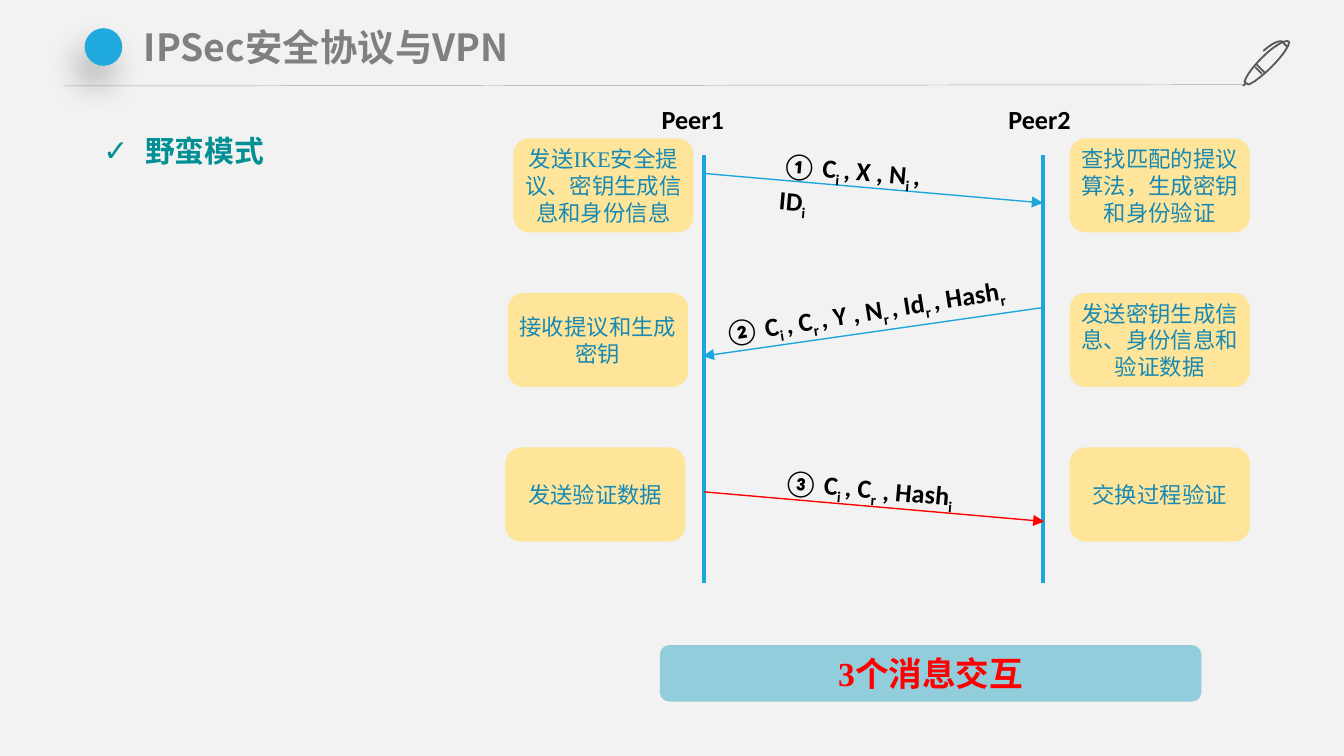
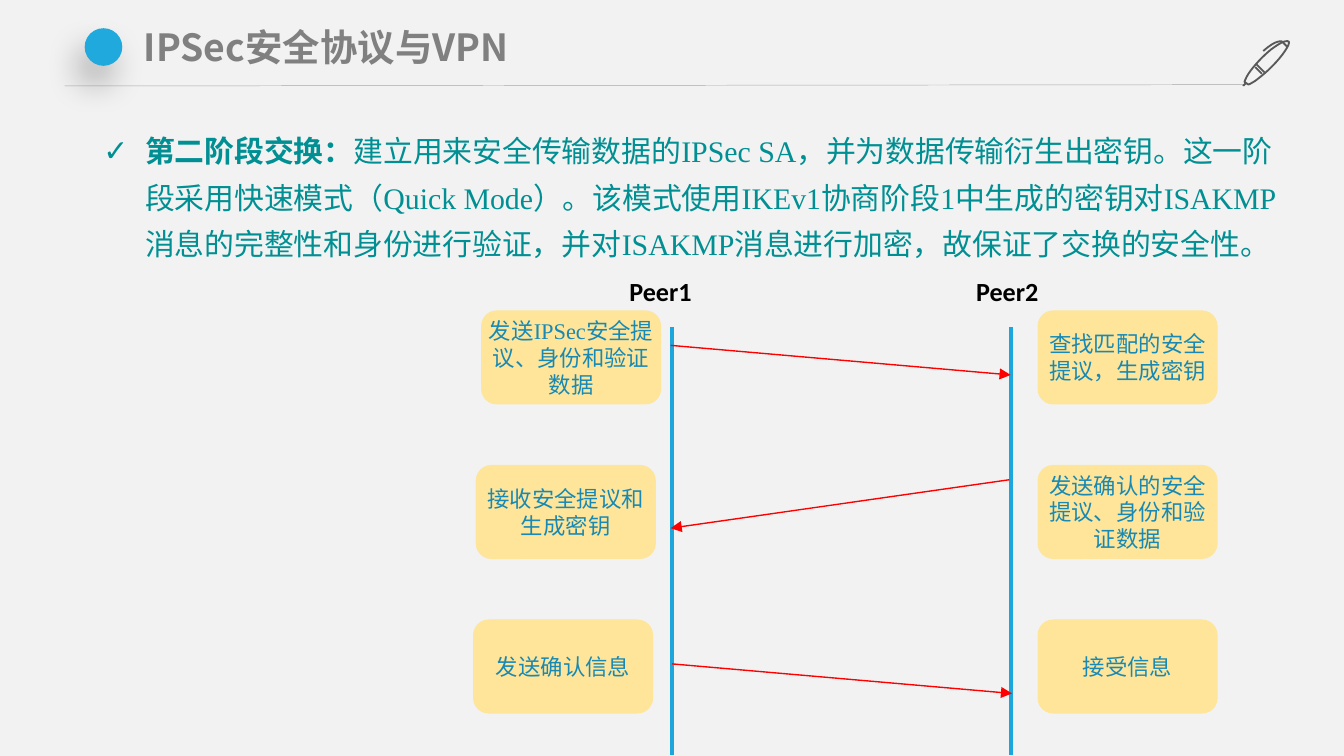
"""Build two slides on IPSec key exchange as message sequence diagrams."""
import dataclasses

import lxml.etree
import pptx
import pptx.dml.color
import pptx.enum.shapes
import pptx.enum.text
import pptx.oxml.ns
import pptx.util


@dataclasses.dataclass(frozen=True)
class Theme:
    background: str = "F2F2F2"
    rule: str = "A6A6A6"
    pen: str = "595959"
    dot: str = "20A9DD"
    title: str = "808080"
    body: str = "008F92"
    card: str = "FEE599"
    card_text: str = "1889B4"
    peer: str = "1BA7DD"
    alert: str = "FF0000"
    banner: str = "92CDDC"
    label: str = "000000"
    heading_font: str = "Noto Sans CJK SC"
    text_font: str = "Times New Roman"
    label_font: str = "Calibri"
    title_size: int = 20
    banner_size: int = 18
    body_size: int = 16
    label_size: int = 14
    card_size: int = 12


theme = Theme()
rgb = pptx.dml.color.RGBColor.from_string
qn = pptx.oxml.ns.qn
shapes = pptx.enum.shapes.MSO_SHAPE
anchors = pptx.enum.text.MSO_ANCHOR
aligns = pptx.enum.text.PP_ALIGN

deck = pptx.Presentation()
deck.slide_width = pptx.util.Inches(10)
deck.slide_height = pptx.util.Inches(5.625)
deck.slide_master.background.fill.solid()
deck.slide_master.background.fill.fore_color.rgb = rgb(theme.background)


def place(*cells):
    """Convert grid cells, each a hundredth of the slide width, to lengths."""
    return [round(cell * deck.slide_width / 100) for cell in cells]


def write(para, text, font, size, color, bold=False):
    """Add one formatted run to a paragraph."""
    span = para.add_run()
    span.text = text
    span.font.size = pptx.util.Pt(size)
    span.font.bold = bold
    span.font.color.rgb = rgb(color)
    span.font.name = font
    lxml.etree.SubElement(span._r.get_or_add_rPr(), qn("a:ea"), typeface=theme.heading_font)
    return span


pen_strokes = [
    [(9.39, 0.55), (9.34, 0.5), (9.34, 0.5), (9.34, 0.5)],
    [(9.35, 0.48), (9.41, 0.54), (9.41, 0.54), (9.41, 0.54)],
    [(9.59, 0.31), (9.57, 0.29), (9.48, 0.34), (9.39, 0.43),
     (9.32, 0.5), (9.27, 0.57), (9.26, 0.61), (9.29, 0.63), (9.29, 0.63), (9.29, 0.63),
     (9.32, 0.62), (9.39, 0.57), (9.46, 0.5), (9.55, 0.41), (9.6, 0.33), (9.59, 0.31)],
    [(9.27, 0.62), (9.25, 0.64), (9.25, 0.64), (9.25, 0.64)],
    [(9.58, 0.35), (9.58, 0.35), (9.56, 0.33), (9.54, 0.31),
     (9.54, 0.31), (9.5, 0.29), (9.4, 0.38)],
]
pen_paths = []
for stroke in pen_strokes:
    points = [stroke[0]]
    for first in range(0, len(stroke) - 1, 3):
        curve = stroke[first:first + 4]
        for step in range(1, 9):
            t = step / 8
            weights = ((1 - t) ** 3, 3 * t * (1 - t) ** 2, 3 * t ** 2 * (1 - t), t ** 3)
            points.append(tuple(sum(w * p[axis] for w, p in zip(weights, curve)) for axis in (0, 1)))
    pen_paths.append([(x * 1000, y * 1000) for x, y in points])

message_ends = [(-0.1, 2.6, 25.2, 4.8), (25.1, 12.6, -0.1, 16.2), (0, 26.3, 25.3, 28.5)]
left_indents = [-14.2, -14.6, -14.8]
row_pitch = 11.5

slides = [
    {
        "origin": (52.4, 10.3),
        "body_height": 4.2,
        "body": [("野蛮模式", True)],
        "cards": [
            ("发送IKE安全提议、密钥生成信息和身份信息", "查找匹配的提议算法，生成密钥和身份验证"),
            ("接收提议和生成密钥", "发送密钥生成信息、身份信息和验证数据"),
            ("发送验证数据", "交换过程验证"),
        ],
        "message_colors": [theme.peer, theme.peer, theme.alert],
        "labels": [
            (4.8, 0.8, 15.3, 5, ["① C", "i ", ", X , N", "i ", ",\vID", "i"]),
            (0.4, 11.1, 24.3, -9, ["② C", "i ", ", C", "r ", ", Y , N", "r ", ", Id", "r ", ", Hash", "r"]),
            (4.9, 24.4, 15.1, 5, ["③ C", "i ", ", C", "r", " , Hash", "i"]),
        ],
        "banner": "3个消息交互",
    },
    {
        "origin": (50, 23.1),
        "body_height": 11.2,
        "body": [
            ("第二阶段交换：", True),
            ("建立用来安全传输数据的IPSec SA，并为数据传输衍生出密钥。这一阶段采用快速模式"
             "（Quick Mode）。该模式使用IKEv1协商阶段1中生成的密钥对ISAKMP消息的完整性和身份"
             "进行验证，并对ISAKMP消息进行加密，故保证了交换的安全性。", False),
        ],
        "cards": [
            ("发送IPSec安全提议、身份和验证数据", "查找匹配的安全提议，生成密钥"),
            ("接收安全提议和生成密钥", "发送确认的安全提议、身份和验证数据"),
            ("发送确认信息", "接受信息"),
        ],
        "message_colors": [theme.alert] * 3,
        "labels": [],
        "banner": None,
    },
]

for content in slides:
    page = deck.slides.add_slide(deck.slide_layouts[1])
    left, top = content["origin"]

    title = page.shapes.title
    title.left, title.top, title.width, title.height = place(9.8, 1.4, 82.7, 4.3)
    frame = title.text_frame
    frame.auto_size = pptx.enum.text.MSO_AUTO_SIZE.NONE
    frame.vertical_anchor = anchors.TOP
    frame.margin_left, frame.margin_right, frame.margin_top, frame.margin_bottom = place(0.9, 0.9, 0.4, 0.4)
    para = frame.paragraphs[0]
    para.alignment = aligns.LEFT
    write(para, "IPSec安全协议与VPN", theme.heading_font, theme.title_size, theme.title, True)

    body = page.placeholders[1]
    body.left, body.top, body.width, body.height = place(6.7, 8.6, 89.8, content["body_height"])
    body.text_frame.auto_size = pptx.enum.text.MSO_AUTO_SIZE.NONE
    para = body.text_frame.paragraphs[0]
    properties = para._p.get_or_add_pPr()
    indent = place(3.1)[0]
    properties.set("marL", str(indent))
    properties.set("indent", str(-indent))
    lxml.etree.SubElement(properties, qn("a:buChar"), char="✓")
    para.line_spacing = 1.3
    para.space_before = pptx.util.Pt(0)
    para.space_after = pptx.util.Pt(3)
    for text, bold in content["body"]:
        write(para, text, theme.text_font, theme.body_size, theme.body, bold)

    lines = [(4.8, 6.4, 92.5, 6.3, theme.rule, 0.25, False)]
    for peer_left in (left, left + 25.2):
        lines.append((peer_left, top + 1.25, peer_left, top + 33.1, theme.peer, 2.25, False))
    for (x1, y1, x2, y2), color in zip(message_ends, content["message_colors"]):
        lines.append((left + x1, top + y1, left + x2, top + y2, color, 0.75, True))
    for x1, y1, x2, y2, color, width, arrow in lines:
        connector = page.shapes.add_connector(
            pptx.enum.shapes.MSO_CONNECTOR.STRAIGHT, *place(x1, y1, x2, y2))
        connector.line.color.rgb = rgb(color)
        connector.line.width = pptx.util.Pt(width)
        if arrow:
            lxml.etree.SubElement(connector.line._get_or_add_ln(), qn("a:tailEnd"), type="triangle")
        lxml.etree.SubElement(connector._element.spPr, qn("a:effectLst"))

    builder = page.shapes.build_freeform(*pen_paths[0][0], scale=914.4)
    for number, path_points in enumerate(pen_paths):
        if number:
            builder.move_to(*path_points[0])
        builder.add_line_segments(path_points[1:], close=number == 2)
    pen = builder.convert_to_shape()
    pen.shadow.inherit = False
    pen.fill.background()
    pen.line.color.rgb = rgb(theme.pen)
    pen.line.width = pptx.util.Pt(1)

    dot = page.shapes.add_shape(shapes.OVAL, *place(6.3, 2.1, 2.8, 2.8))
    dot.shadow.inherit = False
    dot.fill.solid()
    dot.fill.fore_color.rgb = rgb(theme.dot)
    dot.line.fill.background()
    effects = dot._element.spPr.find(qn("a:effectLst"))
    shadow = lxml.etree.SubElement(
        effects, qn("a:outerShdw"), blurRad=str(pptx.util.Pt(18)), dist=str(pptx.util.Pt(11)),
        dir=str(113 * 60000), algn="ctr", rotWithShape="0")
    shade = lxml.etree.SubElement(shadow, qn("a:srgbClr"), val="000000")
    lxml.etree.SubElement(shade, qn("a:alpha"), val="27000")

    panels = []
    for row, pair in enumerate(content["cards"]):
        for text, offset in zip(pair, (left_indents[row], 27.2)):
            panels.append((left + offset, top + row * row_pitch, 13.4, 7, text,
                           theme.card, theme.card_size, theme.card_text, False))
    if content["banner"]:
        panels.append((49.1, 48, 40.3, 4.2, content["banner"],
                       theme.banner, theme.banner_size, theme.alert, True))
    for x, y, width, height, text, fill, size, color, bold in panels:
        panel = page.shapes.add_shape(shapes.ROUNDED_RECTANGLE, *place(x, y, width, height))
        panel.shadow.inherit = False
        panel.fill.solid()
        panel.fill.fore_color.rgb = rgb(fill)
        panel.line.fill.background()
        frame = panel.text_frame
        frame.word_wrap = True
        frame.vertical_anchor = anchors.MIDDLE
        frame.margin_left = frame.margin_right = frame.margin_top = frame.margin_bottom = 0
        para = frame.paragraphs[0]
        para.alignment = aligns.CENTER
        write(para, text, theme.text_font, size, color, bold)

    for name, offset in (("Peer1", -4.2), ("Peer2", 21.6)):
        box = page.shapes.add_textbox(*place(left + offset, top - 3.1, 6.7, 3.4))
        box.text_frame.word_wrap = True
        box.text_frame.margin_left = box.text_frame.margin_right = 0
        para = box.text_frame.paragraphs[0]
        para.alignment = aligns.CENTER
        write(para, name, theme.label_font, theme.label_size, theme.label, True)

    for x, y, width, angle, parts in content["labels"]:
        box = page.shapes.add_textbox(*place(left + x, top + y, width, 3.4))
        box.rotation = angle
        box.text_frame.word_wrap = True
        para = box.text_frame.paragraphs[0]
        for number, part in enumerate(parts):
            for piece_number, piece in enumerate(part.split("\v")):
                if piece_number:
                    para.add_line_break()
                span = write(para, piece, theme.label_font, theme.label_size, theme.label, True)
                if number % 2:
                    span._r.get_or_add_rPr().set("baseline", "-25000")

deck.save("out.pptx")
